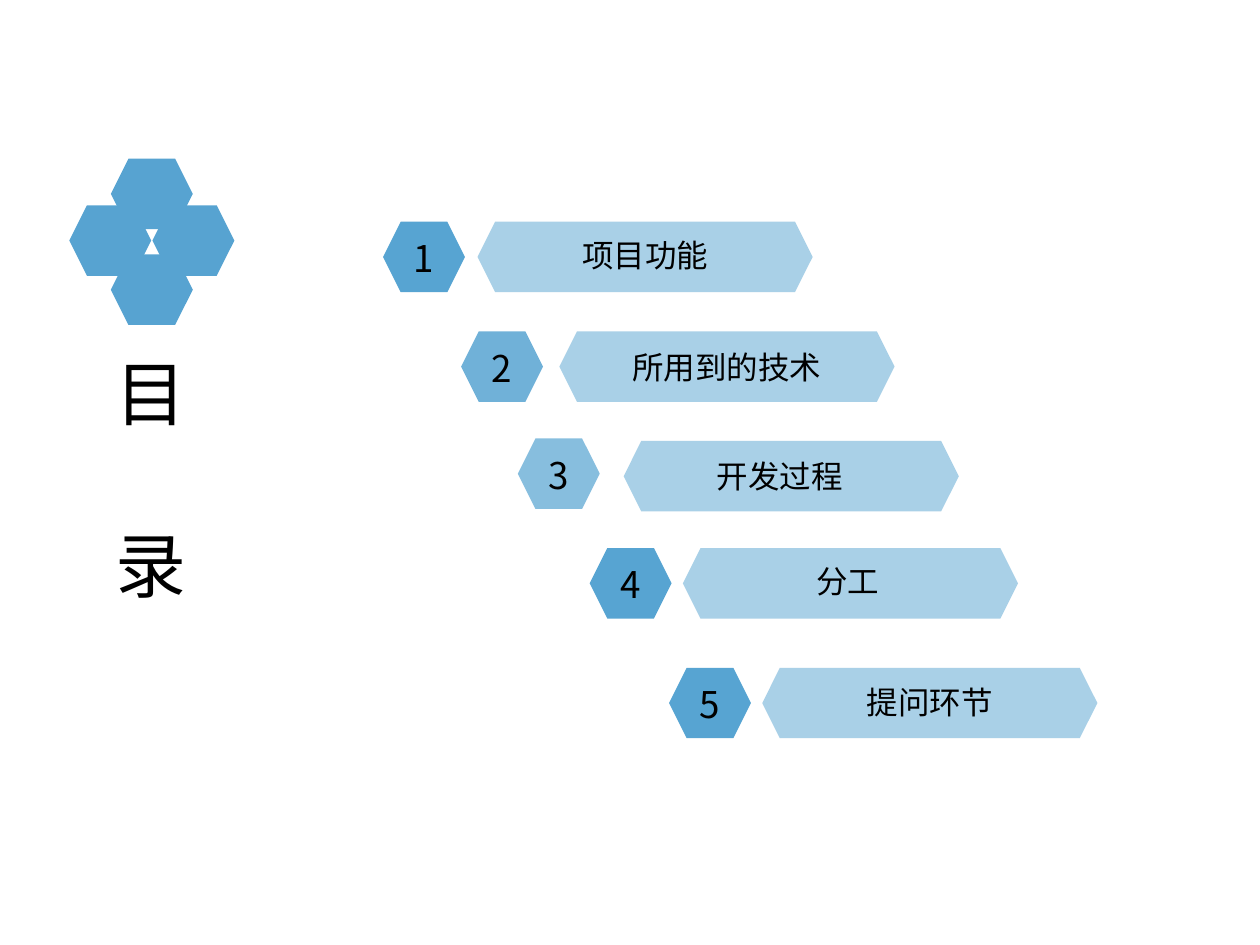
from lxml.etree import SubElement
from pptx import Presentation
from pptx.dml.color import RGBColor
from pptx.enum.shapes import MSO_SHAPE as Shape
from pptx.enum.text import MSO_ANCHOR as Anchor, MSO_AUTO_SIZE as AutoSize, PP_ALIGN as Align
from pptx.oxml.ns import qn
from pptx.util import Inches, Pt

FONT = "Noto Sans CJK SC"
BLUE, PETAL_BLUE, BLACK = "117EBF", "57A3D1", "000000"
HEX_SIZE, BAR_SIZE = (0.65, 0.56), (2.66, 0.56)
NUMBER_SIZE, TOPIC_SIZE = (0.47, 0.45), (2.66, 0.4)
BAR_OPACITY = 36
TITLE = ["目", "录"]
PETALS = [(0.88, 2.02), (0.88, 1.26), (1.21, 1.63), (0.55, 1.63)]
AGENDA = [
    {"topic": "项目功能", "badge": (3.04, 1.76), "opacity": 70, "bar": (3.79, 1.76), "text": (3.79, 1.82)},
    {"topic": "所用到的技术", "badge": (3.66, 2.63), "opacity": 60, "bar": (4.44, 2.63), "text": (4.44, 2.71)},
    {"topic": "开发过程", "badge": (4.11, 3.48), "opacity": 50, "bar": (4.95, 3.5), "text": (4.86, 3.58)},
    {"topic": "分工", "badge": (4.68, 4.35), "opacity": 70, "bar": (5.42, 4.35), "text": (5.4, 4.41)},
    {"topic": "提问环节", "badge": (5.31, 5.3), "opacity": 70, "bar": (6.05, 5.3), "text": (6.05, 5.37)},
]


def paint(color_format, color):
    """Set a colour from its hex string."""
    color_format.rgb = RGBColor.from_string(color)


def box(position, size):
    """Turn a position and a size in inches into lengths."""
    return [Inches(value) for value in (*position, *size)]


def add_hexagon(shapes, position, size, color, opacity=100):
    """Add a hexagon without outline, partly see-through if asked."""
    hexagon = shapes.add_shape(Shape.HEXAGON, *box(position, size))
    hexagon.shadow.inherit = False
    hexagon.line.fill.background()
    hexagon.fill.solid()
    paint(hexagon.fill.fore_color, color)
    if opacity < 100:
        tint = hexagon._element.spPr.find(qn("a:solidFill"))[0]
        SubElement(tint, qn("a:alpha"), val=str(opacity * 1000))


def write(frame, lines, size, **spacing):
    """Fill a text frame with centred lines, spaced as given."""
    layout = {"word_wrap": True, "auto_size": AutoSize.NONE, "vertical_anchor": Anchor.MIDDLE,
              "margin_left": 0, "margin_right": 0, "margin_top": 0, "margin_bottom": 0}
    for key, value in layout.items():
        setattr(frame, key, value)
    for index, line in enumerate(lines):
        paragraph = frame.add_paragraph() if index else frame.paragraphs[0]
        paragraph.alignment = Align.CENTER
        for key, value in spacing.items():
            if index or key != "space_before":
                setattr(paragraph, key, value)
        run = paragraph.add_run()
        run.text = line
        for key, value in {"name": FONT, "size": Pt(size), "bold": False}.items():
            setattr(run.font, key, value)
        paint(run.font.color, BLACK)
        SubElement(run._r.get_or_add_rPr(), qn("a:ea"), typeface=FONT)


def main():
    """Build the contents slide."""
    deck = Presentation()
    deck.slide_width, deck.slide_height = Inches(10), Inches(7.5)
    slide = deck.slides.add_slide(deck.slide_layouts[5])

    title = slide.shapes.title
    title.left, title.top, title.width, title.height = box((0.75, 2.72), (0.9, 2.14))
    write(title.text_frame, TITLE, 40.5, line_spacing=Pt(49), space_before=Pt(49))

    flower = slide.shapes.add_group_shape()
    for petal in PETALS:
        add_hexagon(flower.shapes, petal, HEX_SIZE, PETAL_BLUE)

    for number, item in enumerate(AGENDA, 1):
        badge = slide.shapes.add_group_shape()
        add_hexagon(badge.shapes, item["badge"], HEX_SIZE, BLUE, item["opacity"])
        left, top = item["badge"]
        digit = badge.shapes.add_textbox(*box((left + 0.09, top + 0.06), NUMBER_SIZE))
        write(digit.text_frame, [str(number)], 21)
        add_hexagon(slide.shapes, item["bar"], BAR_SIZE, BLUE, BAR_OPACITY)
        topic = slide.shapes.add_textbox(*box(item["text"], TOPIC_SIZE))
        write(topic.text_frame, [item["topic"]], 18)

    deck.save("out.pptx")


if __name__ == "__main__":
    main()
